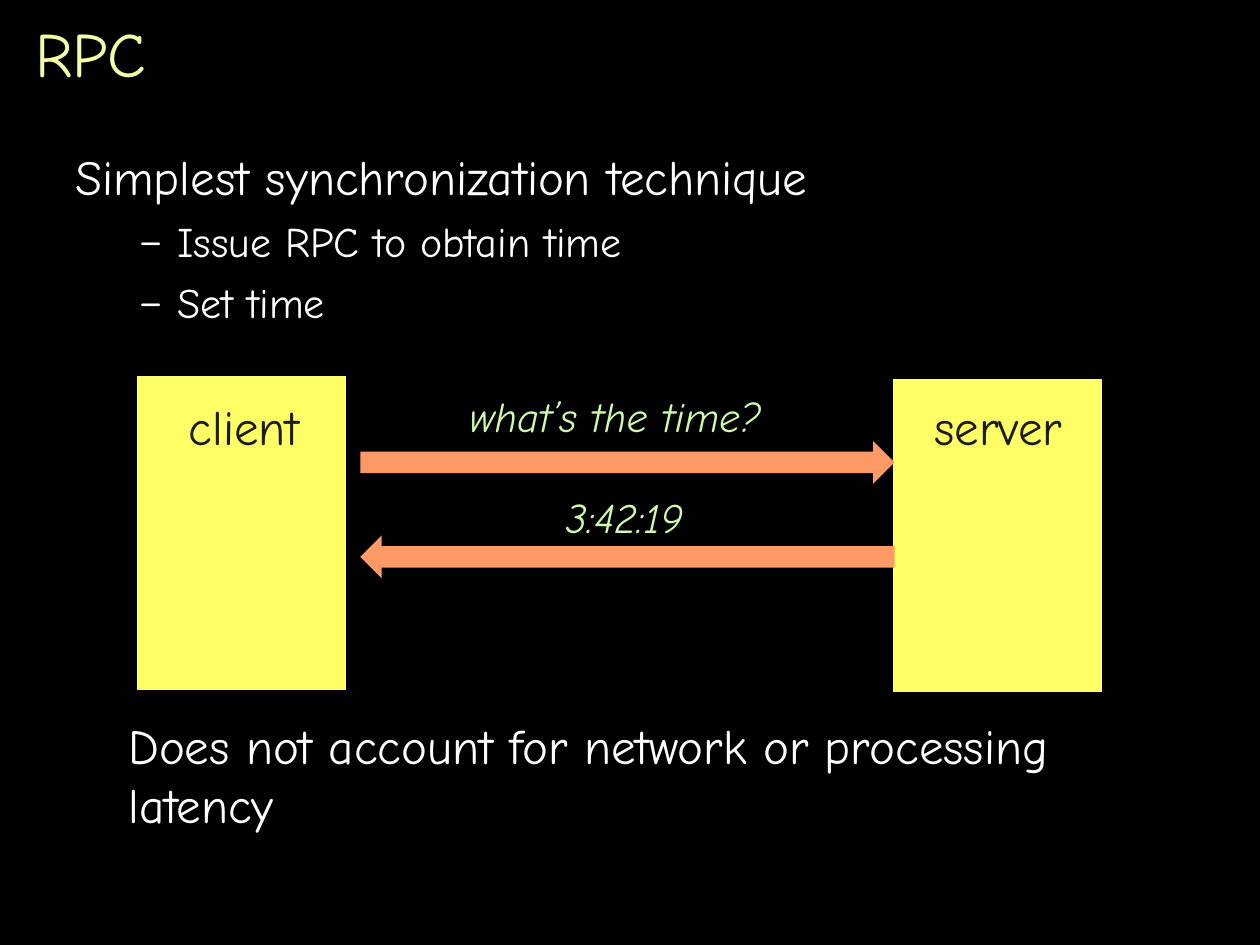
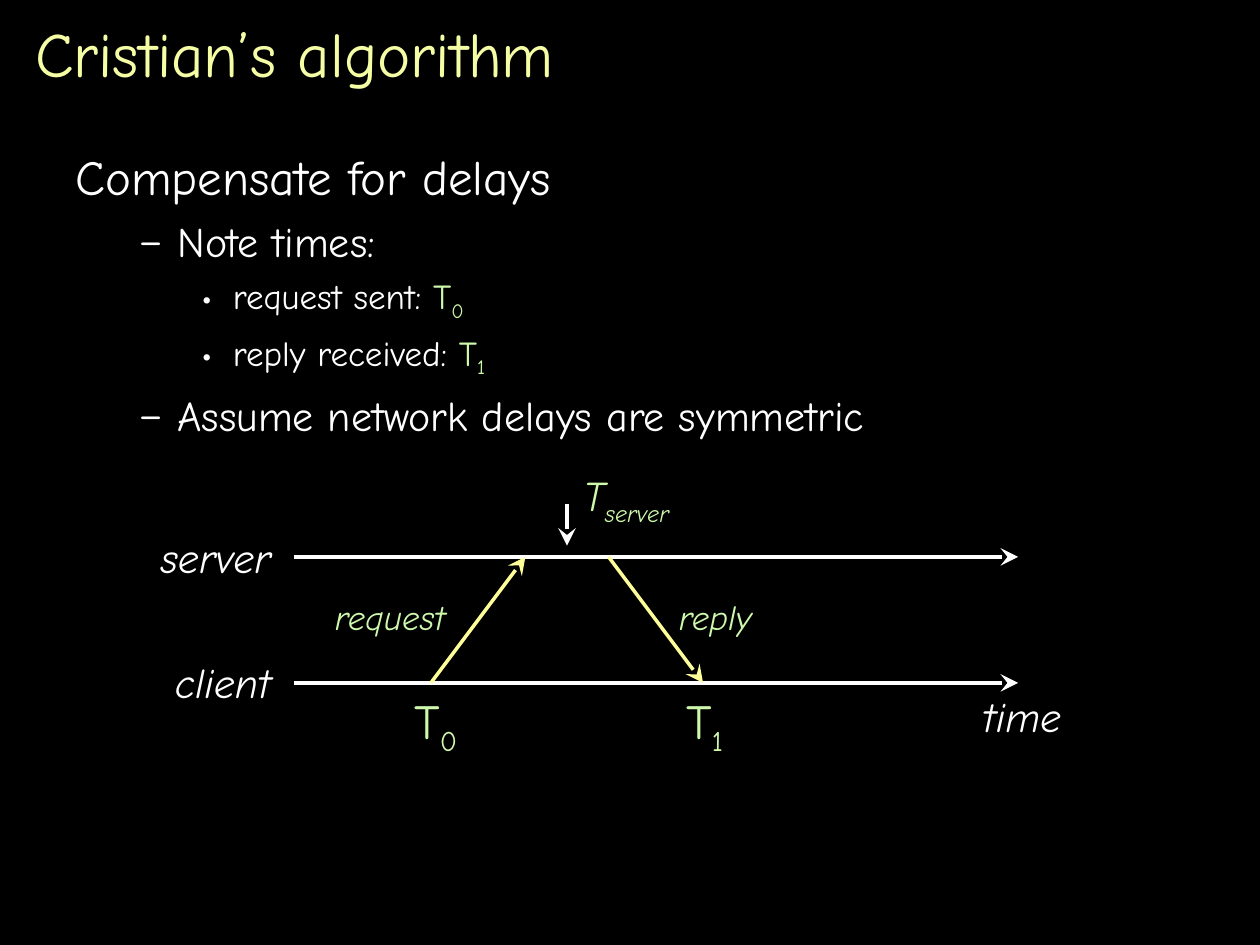
from lxml.etree import SubElement
from pptx import Presentation
from pptx.dml.color import RGBColor
from pptx.enum.shapes import MSO_CONNECTOR, MSO_SHAPE
from pptx.enum.text import MSO_ANCHOR, MSO_AUTO_SIZE, PP_ALIGN
from pptx.oxml.ns import qn
from pptx.util import Inches, Pt

FONT = "Comic Neue"
BLACK = RGBColor(0x00, 0x00, 0x00)
WHITE = RGBColor(0xFF, 0xFF, 0xFF)
INK = RGBColor(0x1C, 0x1C, 0x1C)
TITLE_YELLOW = RGBColor(0xF5, 0xFD, 0xA5)
GREEN = RGBColor(0xCE, 0xF9, 0xAD)
HOST_YELLOW = RGBColor(0xFF, 0xFF, 0x66)
MESSAGE_YELLOW = RGBColor(0xFF, 0xFF, 0x99)
ORANGE = RGBColor(0xFF, 0x99, 0x66)

# Outline levels: size, space before, left margin, hanging indent, bullet
LEVELS = [
    (28, 7, 0.38, 0.38, None),
    (24, 6, 0.81, 0.31, "–"),
    (20, 5, 1.25, 0.25, "•"),
]


# A run is (text, colour or None for the default, subscript)
def symbol(base, subscript):
    return [(base, GREEN, False), (subscript, GREEN, True)]


# Slide 1 content
RPC_OUTLINE = [
    (0, "Simplest synchronization technique"),
    (1, "Issue RPC to obtain time"),
    (1, "Set time"),
]
RPC_NOTE = "Does not account for network or processing latency"
HOSTS = [  # name, box left and top, label left and width
    ("client", 1.08, 2.98, 1.4, 1.08),
    ("server", 7.08, 3.0, 7.32, 1.22),
]
HOST_SIZE = (1.67, 2.5)
CALLS = [  # text, label place, alignment, arrow shape, arrow top
    ("what’s the time?", (3.63, 3.05, 2.51, 0.5), PP_ALIGN.LEFT,
     MSO_SHAPE.RIGHT_ARROW, 3.5),
    ("3:42:19", (4.39, 3.85, 1.13, 0.5), PP_ALIGN.CENTER,
     MSO_SHAPE.LEFT_ARROW, 4.25),
]

# Slide 2 content
CRISTIAN_OUTLINE = [
    (0, "Compensate for delays"),
    (1, "Note times:"),
    (2, [("request sent: ", None, False)] + symbol("T", "0")),
    (2, [("reply received: ", None, False)] + symbol("T", "1")),
    (1, "Assume network delays are symmetric"),
]
SERVER_Y, CLIENT_Y = 4.42, 5.42
AXIS_START, AXIS_END = 2.33, 8.08
AXES = [  # name, height of the line, label place
    ("server", SERVER_Y, (0.58, 4.17, 1.67, 0.5)),
    ("client", CLIENT_Y, (0.83, 5.16, 1.42, 0.5)),
]
MESSAGES = [  # name, start, end, label left and width
    ("request", (3.42, CLIENT_Y), (4.17, SERVER_Y), 2.56, 1.08),
    ("reply", (4.83, SERVER_Y), (5.58, CLIENT_Y), 5.29, 0.78),
]
MOMENTS = [  # symbol, place, size, italic
    (symbol("T", "0"), (3.19, 5.43, 0.54, 0.63), 28, False),
    (symbol("T", "1"), (5.35, 5.43, 0.49, 0.63), 28, False),
    (symbol("T", "server"), (4.53, 3.68, 0.88, 0.56), 24, True),
]


def add_runs(para, content, size, color, italic=False):
    runs = [(content, None, False)] if isinstance(content, str) else content
    for text, run_color, subscript in runs:
        span = para.add_run()
        span.text = text
        span.font.name = FONT
        span.font.size = Pt(size)
        span.font.italic = italic
        span.font.color.rgb = run_color or color
        if subscript:
            span._r.get_or_add_rPr().set("baseline", "-25000")


def add_text(page, content, place, size=24, color=WHITE, italic=False,
             align=PP_ALIGN.LEFT, anchor=MSO_ANCHOR.TOP, wrap=False):
    box = page.shapes.add_textbox(*map(Inches, place))
    frame = box.text_frame
    frame.word_wrap = wrap
    if not wrap:
        frame.auto_size = MSO_AUTO_SIZE.SHAPE_TO_FIT_TEXT
    frame.vertical_anchor = anchor
    para = frame.paragraphs[0]
    para.alignment = align
    add_runs(para, content, size, color, italic)


def add_outline(page, items, height):
    box = page.shapes.add_textbox(*map(Inches, (0.5, 1.11, 9, height)))
    frame = box.text_frame
    frame.word_wrap = True
    for index, (level, content) in enumerate(items):
        size, before, margin, hanging, bullet = LEVELS[level]
        para = frame.add_paragraph() if index else frame.paragraphs[0]
        para.level = level
        para.space_before = Pt(before)
        properties = para._p.get_or_add_pPr()
        properties.set("marL", str(Inches(margin)))
        properties.set("indent", str(-Inches(hanging)))
        if bullet:
            bullet_color = SubElement(properties, qn("a:buClr"))
            SubElement(bullet_color, qn("a:srgbClr")).set("val", str(WHITE))
            SubElement(properties, qn("a:buFont")).set("typeface", FONT)
            SubElement(properties, qn("a:buChar")).set("char", bullet)
        add_runs(para, content, size, WHITE)


def add_block(page, kind, place, fill, line=None):
    shape = page.shapes.add_shape(kind, *map(Inches, place))
    shape.shadow.inherit = False
    shape.fill.solid()
    shape.fill.fore_color.rgb = fill
    if line is None:
        shape.line.fill.background()
    else:
        shape.line.color.rgb = line
        shape.line.width = Pt(0.75)


def add_arrow(page, start, end, color=WHITE):
    arrow = page.shapes.add_connector(
        MSO_CONNECTOR.STRAIGHT, *map(Inches, start + end))
    arrow.line.color.rgb = color
    arrow.line.width = Pt(2)
    head = SubElement(arrow.line._get_or_add_ln(), qn("a:tailEnd"))
    for key, value in (("type", "stealth"), ("w", "lg"), ("len", "lg")):
        head.set(key, value)
    SubElement(arrow._element.spPr, qn("a:effectLst"))


def add_page(deck, title):
    page = deck.slides.add_slide(deck.slide_layouts[6])
    page.background.fill.solid()
    page.background.fill.fore_color.rgb = BLACK
    add_text(page, title, (0.18, 0.08, 9.67, 0.67), size=36,
             color=TITLE_YELLOW, anchor=MSO_ANCHOR.MIDDLE, wrap=True)
    return page


def build_rpc(deck):
    page = add_page(deck, "RPC")
    add_outline(page, RPC_OUTLINE, 1.59)
    add_text(page, RPC_NOTE, (0.92, 5.63, 8.1, 1.04), size=28, wrap=True)
    # Client and server boxes
    for name, left, top, label_left, label_width in HOSTS:
        add_block(page, MSO_SHAPE.RECTANGLE, (left, top, *HOST_SIZE),
                  HOST_YELLOW, line=BLACK)
        add_text(page, name, (label_left, 3.1, label_width, 0.57),
                 size=28, color=INK)
    # Question and answer
    for text, place, align, kind, top in CALLS:
        add_text(page, text, place, color=GREEN, italic=True, align=align)
        add_block(page, kind, (2.86, top, 4.24, 0.34), ORANGE)


def build_cristian(deck):
    page = add_page(deck, "Cristian’s algorithm")
    add_outline(page, CRISTIAN_OUTLINE, 2.42)
    # Time axes
    for name, height, place in AXES:
        add_arrow(page, (AXIS_START, height), (AXIS_END, height))
        add_text(page, name, place, italic=True, align=PP_ALIGN.RIGHT, wrap=True)
    add_text(page, "time", (7.7, 5.43, 0.85, 0.5), italic=True)
    # Messages between the axes
    for name, start, end, left, width in MESSAGES:
        add_arrow(page, start, end, color=MESSAGE_YELLOW)
        add_text(page, name, (left, 4.68, width, 0.44), size=20,
                 color=GREEN, italic=True)
    # Moments in time
    add_arrow(page, (4.5, 4.0), (4.5, 4.33))
    for content, place, size, italic in MOMENTS:
        add_text(page, content, place, size=size, italic=italic)


def main():
    deck = Presentation()
    deck.slide_width, deck.slide_height = Inches(10), Inches(7.5)
    build_rpc(deck)
    build_cristian(deck)
    deck.save("out.pptx")


if __name__ == "__main__":
    main()
